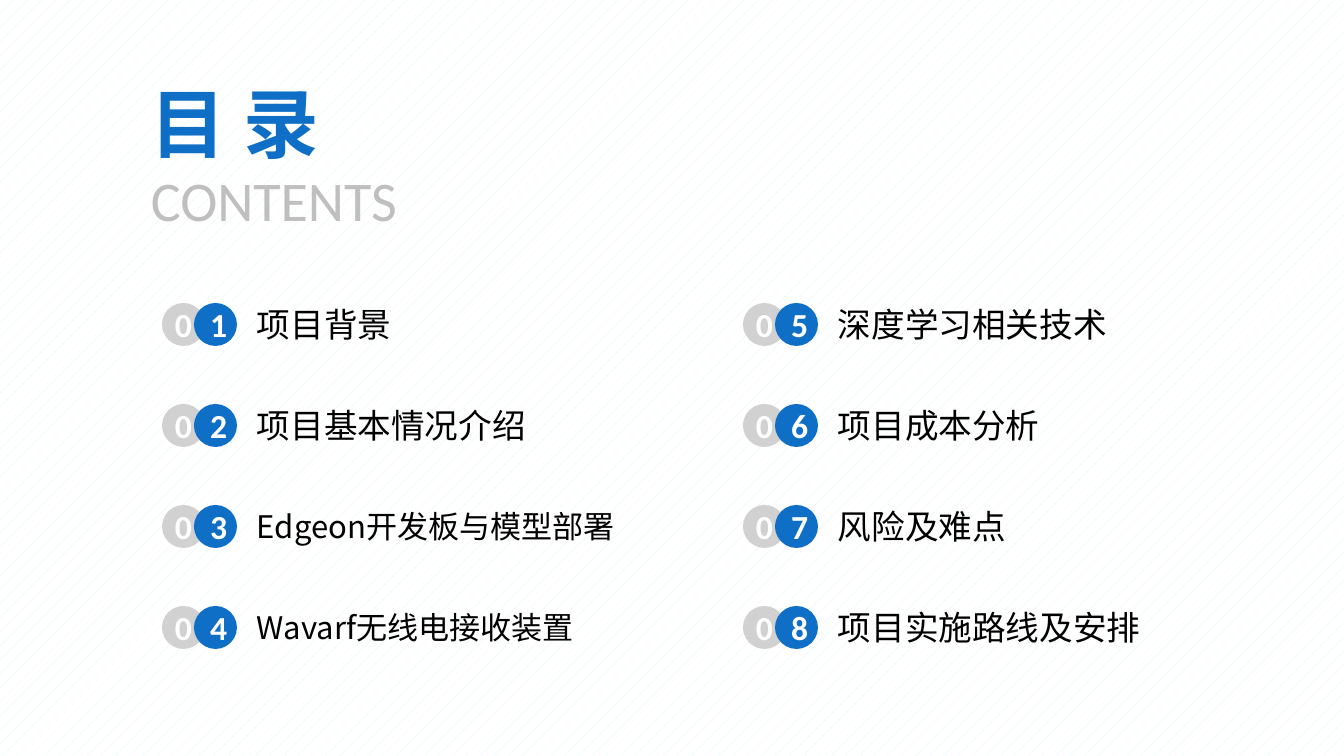
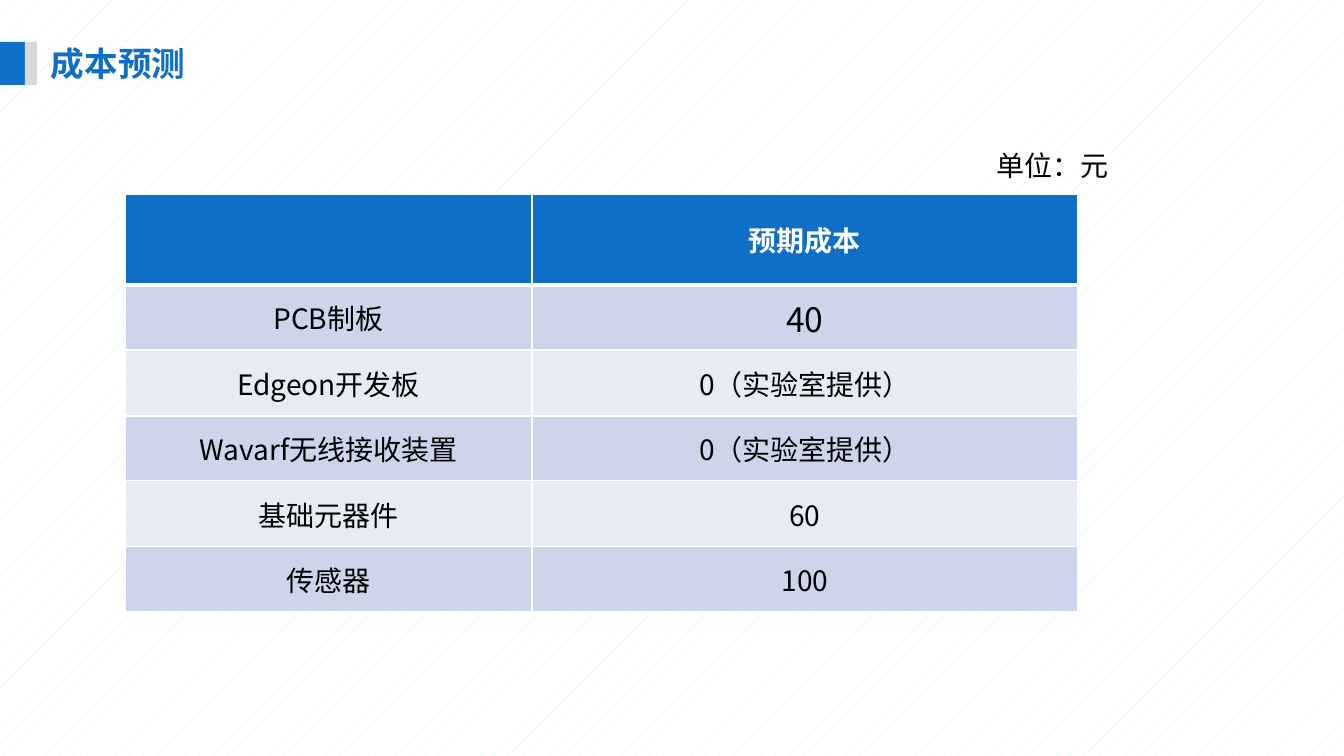
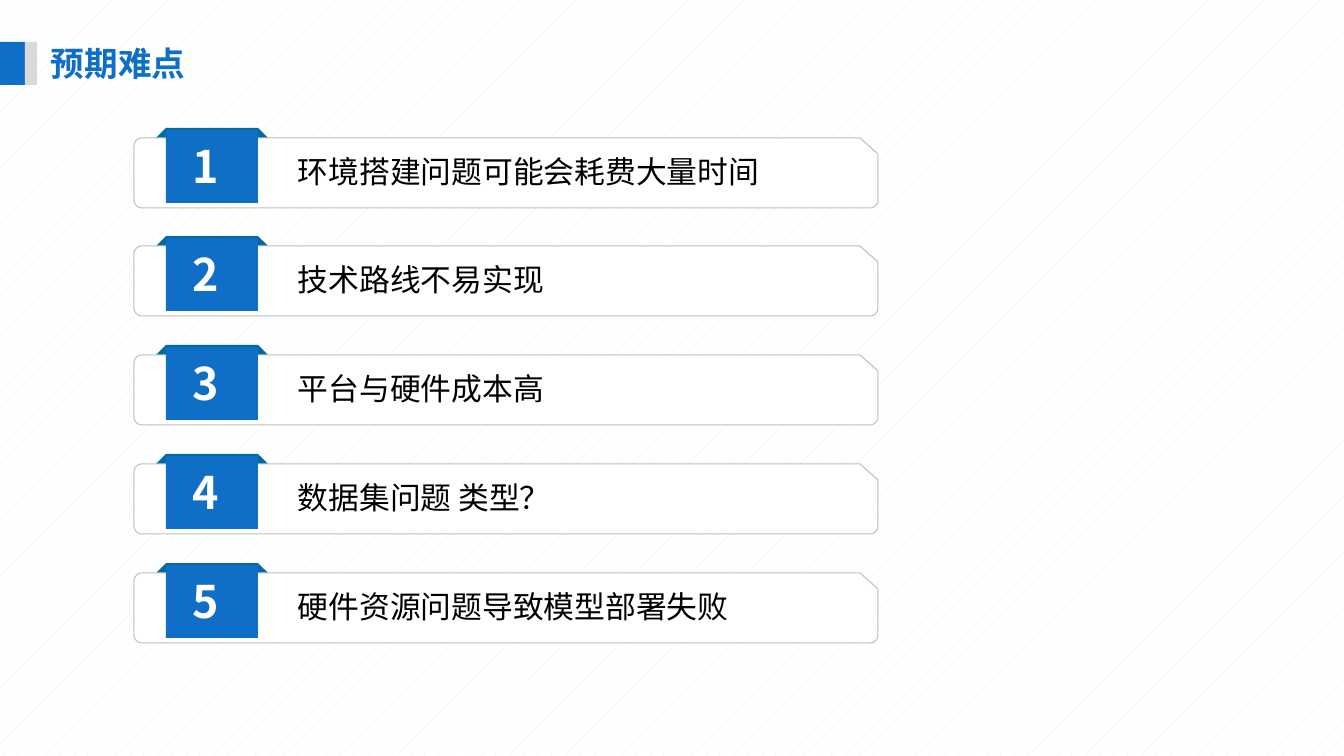
import math

import lxml.etree
import pptx
import pptx.dml.color
import pptx.enum.dml
import pptx.enum.shapes
import pptx.enum.text
import pptx.oxml.ns
import pptx.util

PX = 914400 / 100.8
BLUE, DARK_BLUE, WHITE, BLACK = "0F6FC6", "006BA0", "FFFFFF", "000000"
SILVER, PALE, MUTED = "D1D1D1", "D9D9D9", "BFBFBF"
BAND_DARK, BAND_LIGHT = "CCD5EA", "E7EBF5"
CHINESE, LATIN = "Noto Sans CJK SC", "Calibri"
SHAPE = pptx.enum.shapes.MSO_SHAPE
ALIGN = pptx.enum.text.PP_ALIGN
MIDDLE = pptx.enum.text.MSO_ANCHOR.MIDDLE


def emu(px):
    """Turn pixels into EMU."""
    return pptx.util.Emu(round(px * PX))


def rgb(code):
    """Turn a hex string into a colour."""
    return pptx.dml.color.RGBColor.from_string(code)


class Deck:
    """Hold the shared style and the current slide."""

    def __init__(self):
        """Start an empty widescreen presentation."""
        self.presentation = pptx.Presentation()
        self.presentation.slide_width = emu(1344)
        self.presentation.slide_height = emu(756)
        self.slide = None

    def new_slide(self, title=None):
        """Add a patterned slide, with a title band if a title is given."""
        self.slide = self.presentation.slides.add_slide(self.presentation.slide_layouts[6])
        backdrop = self.slide.background.fill
        backdrop.patterned()
        backdrop.pattern = pptx.enum.dml.MSO_PATTERN.PERCENT_5
        backdrop.fore_color.rgb = rgb("D7F5FF")
        backdrop.back_color.rgb = rgb(WHITE)
        if title:
            self.text(title, 41, 38, 492, 50, 24, BLUE, bold=True)
            self.block(SHAPE.RECTANGLE, 0, 42, 25, 43, BLUE)
            self.block(SHAPE.RECTANGLE, 25, 42, 12, 43, PALE)

    def fill_words(self, frame, words, size, color, bold=False, font=CHINESE, align=ALIGN.LEFT):
        """Set the words of a text frame and format them."""
        frame.text = words
        paragraph = frame.paragraphs[0]
        paragraph.alignment = align
        for run in paragraph.runs:
            run.font.size = pptx.util.Pt(size)
            run.font.bold = bold
            run.font.name = font
            run.font.color.rgb = rgb(color)
            east_asian = pptx.oxml.ns.qn("a:ea")
            lxml.etree.SubElement(run._r.get_or_add_rPr(), east_asian, typeface=font)

    def text(self, words, x, y, width, height, size, color, label=False, **style):
        """Add a text box, or a middle-anchored label with a left indent."""
        frame = self.slide.shapes.add_textbox(emu(x), emu(y), emu(width), emu(height)).text_frame
        self.fill_words(frame, words, size, color, **style)
        frame.word_wrap = True
        if label:
            frame.vertical_anchor = MIDDLE
            frame.margin_left = emu(20)
            frame.margin_top = frame.margin_right = frame.margin_bottom = 0
        else:
            frame.auto_size = pptx.enum.text.MSO_AUTO_SIZE.SHAPE_TO_FIT_TEXT

    def paint(self, shape, fill, line=None):
        """Give a shape a flat fill and an optional hairline."""
        shape.shadow.inherit = False
        shape.fill.solid()
        shape.fill.fore_color.rgb = rgb(fill)
        if line:
            shape.line.color.rgb = rgb(line)
            shape.line.width = 0
        else:
            shape.line.fill.background()

    def block(self, kind, x, y, width, height, fill):
        """Add a flat preset shape."""
        shape = self.slide.shapes.add_shape(kind, emu(x), emu(y), emu(width), emu(height))
        self.paint(shape, fill)
        return shape

    def outline(self, points, fill, line=None):
        """Add a closed outline through the points."""
        corners = [(emu(x), emu(y)) for x, y in points]
        builder = self.slide.shapes.build_freeform(*corners[0])
        builder.add_line_segments(corners[1:], close=True)
        self.paint(builder.convert_to_shape(), fill, line)

    def contents_entry(self, number, words, size, x, y):
        """Add a two-circle number and its label."""
        tens = self.block(SHAPE.OVAL, x, y, 43, 43, SILVER).text_frame
        tens.margin_left = tens.margin_top = tens.margin_right = tens.margin_bottom = 0
        units = self.block(SHAPE.OVAL, x + 32, y, 43, 43, BLUE).text_frame
        for frame, digit in ((tens, "0"), (units, str(number))):
            frame.vertical_anchor = MIDDLE
            self.fill_words(frame, digit, 24, WHITE, True, LATIN, ALIGN.CENTER)
        self.text(words, x + 75, y - 12, 380, 66, size, BLACK, label=True)

    def ribbon_entry(self, number, words, top):
        """Add a clipped panel with a numbered ribbon."""
        self.outline([(166, top), (258, top), (269, top + 11), (155, top + 11)], DARK_BLUE)
        left, right, upper, lower, radius = 134, 878, top + 10, top + 80, 8
        panel = [(right - 18, upper), (right, upper + 16)]
        centers = (
            (right - radius, lower - radius, 0),
            (left + radius, lower - radius, 90),
            (left + radius, upper + radius, 180),
        )
        for x, y, start in centers:
            for angle in range(start, start + 91, 15):
                turn = math.radians(angle)
                panel.append((x + radius * math.cos(turn), y + radius * math.sin(turn)))
        self.outline(panel, WHITE, MUTED)
        self.block(SHAPE.RECTANGLE, 166, top + 2, 92, 73, BLUE)
        self.text(words, 288, top + 20, 514, 47, 22, BLACK)
        self.text(str(number), 183, top + 6, 64, 64, 32, WHITE, bold=True)

    def border(self, cell, side, points):
        """Draw one white cell border."""
        qn = pptx.oxml.ns.qn
        properties = cell._tc.get_or_add_tcPr()
        edge = lxml.etree.SubElement(properties, qn("a:ln" + side), w=str(pptx.util.Pt(points)))
        solid = lxml.etree.SubElement(edge, qn("a:solidFill"))
        lxml.etree.SubElement(solid, qn("a:srgbClr"), val=WHITE)

    def table(self, rows, x, y, widths, heights):
        """Add a banded table with a header row."""
        frame = self.slide.shapes.add_table(
            len(rows), len(widths), emu(x), emu(y), emu(sum(widths)), emu(sum(heights)))
        grid = frame.table
        for column, width in zip(grid.columns, widths):
            column.width = emu(width)
        for index, (row, height, entries) in enumerate(zip(grid.rows, heights, rows)):
            row.height = emu(height)
            header = index == 0
            fill = BLUE if header else BAND_DARK if index % 2 else BAND_LIGHT
            for cell, words in zip(row.cells, entries):
                for side in "LRTB":
                    thick = (side, index) in (("B", 0), ("T", 1))
                    self.border(cell, side, 3 if thick else 1)
                cell.fill.solid()
                cell.fill.fore_color.rgb = rgb(fill)
                cell.vertical_anchor = MIDDLE
                size = 24 if words == "40" else 20
                color = WHITE if header else BLACK
                self.fill_words(cell.text_frame, words, size, color, header, align=ALIGN.CENTER)


def main():
    """Build the three slides."""
    deck = Deck()

    deck.new_slide()
    topics = [
        ("项目背景", 24), ("项目基本情况介绍", 24),
        ("Edgeon开发板与模型部署", 22.2), ("Wavarf无线电接收装置", 22.2),
        ("深度学习相关技术", 24), ("项目成本分析", 24),
        ("风险及难点", 24), ("项目实施路线及安排", 24),
    ]
    for index, (topic, size) in enumerate(topics):
        column, row = divmod(index, 4)
        deck.contents_entry(index + 1, topic, size, 162 + 581 * column, 303 + 101 * row)
    deck.text("目 录", 141, 72, 271, 102, 54, BLUE, bold=True)
    deck.text("CONTENTS", 141, 161, 271, 78, 40, MUTED, font=LATIN)

    deck.new_slide("成本预测")
    deck.text("单位：元", 882, 144, 237, 44, 20, BLACK, align=ALIGN.RIGHT)
    costs = [
        ("", "预期成本"),
        ("PCB制板", "40"),
        ("Edgeon开发板", "0（实验室提供）"),
        ("Wavarf无线接收装置", "0（实验室提供）"),
        ("基础元器件", "60"),
        ("传感器", "100"),
    ]
    deck.table(costs, 125, 194, [407, 546], [91, 65, 66, 65, 66, 65])

    deck.new_slide("预期难点")
    difficulties = [
        "环境搭建问题可能会耗费大量时间",
        "技术路线不易实现",
        "平台与硬件成本高",
        "数据集问题 类型？",
        "硬件资源问题导致模型部署失败",
    ]
    for index, difficulty in enumerate(difficulties):
        deck.ribbon_entry(index + 1, difficulty, 128 + 435 * index // 4)

    deck.presentation.save("out.pptx")


if __name__ == "__main__":
    main()
